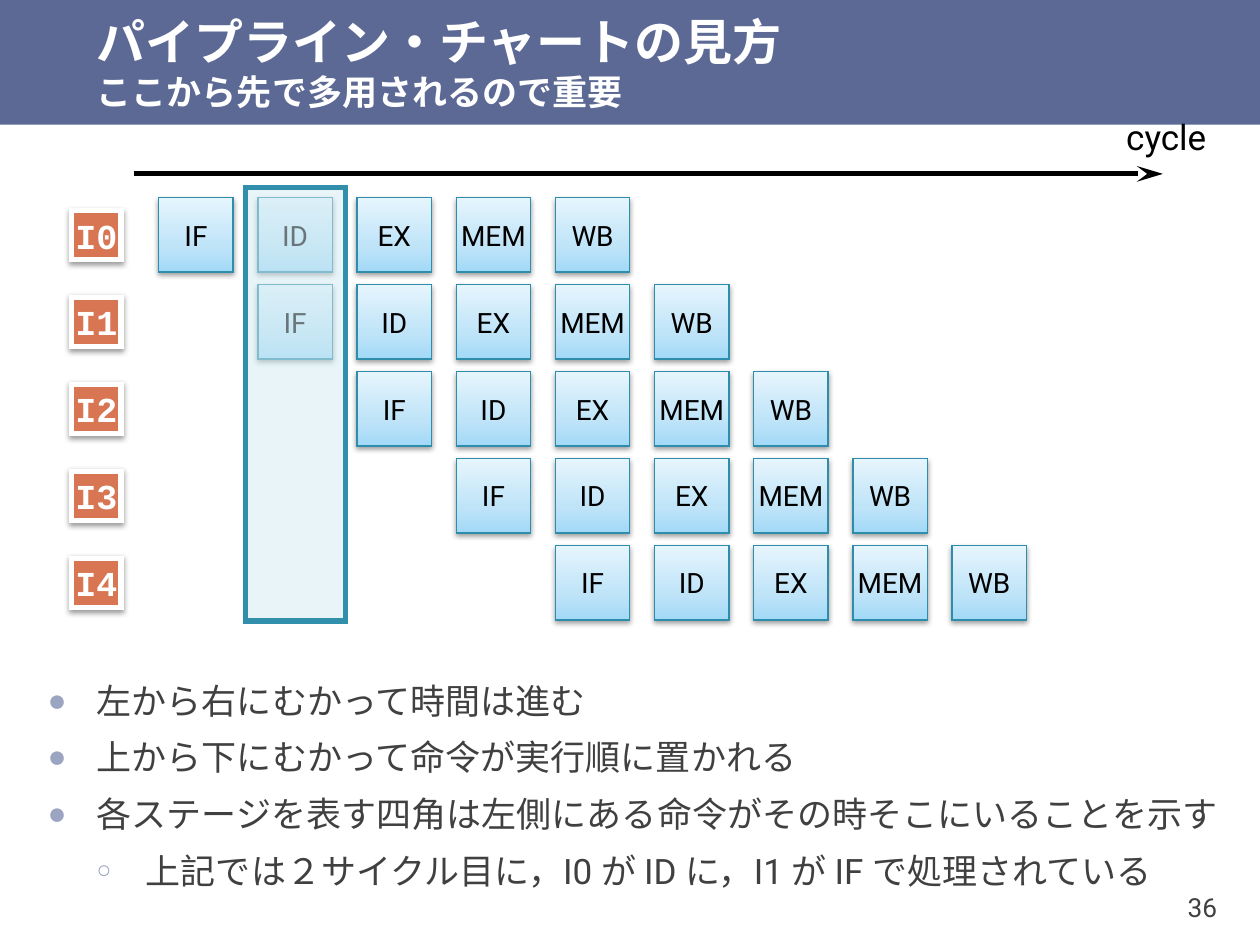
from copy import deepcopy

from lxml import etree
from pptx import Presentation
from pptx.dml.color import RGBColor
from pptx.enum.shapes import MSO_CONNECTOR, MSO_SHAPE
from pptx.enum.text import MSO_ANCHOR, PP_ALIGN
from pptx.oxml.ns import qn
from pptx.util import Inches, Pt

RECT = MSO_SHAPE.RECTANGLE
STRAIGHT = MSO_CONNECTOR.STRAIGHT
MIDDLE = MSO_ANCHOR.MIDDLE
LEFT, CENTER, RIGHT = PP_ALIGN.LEFT, PP_ALIGN.CENTER, PP_ALIGN.RIGHT

COLORS = {
    "band": "5C6994", "white": "FFFFFF", "black": "000000", "body": "404040",
    "bullet": "9BA4C1", "label": "D87552", "stage_line": "2E8DAB",
    "focus": "D2EBF2", "focus_line": "328FAC",
}
STAGE_GRADIENT = [(0, "A2D9F7"), (0.35, "BFE4F8"), (1, "E6F5FD")]
STAGES = ["IF", "ID", "EX", "MEM", "WB"]
INSTRUCTIONS = 5
COL_LEFT, COL_PITCH, STAGE_W = 12.6, 7.87, 5.9
ROW_TOP, ROW_PITCH, STAGE_H = 20.93, 9.2, 7.87
LABEL_LEFT, LABEL_TOP, LABEL_W, LABEL_H = 5.7, 22.27, 3.9, 5.2
BULLETS = [
    (1, "左から右にむかって時間は進む"),
    (1, "上から下にむかって命令が実行順に置かれる"),
    (1, "各ステージを表す四角は左側にある命令がその時そこにいることを示す"),
    (2, "上記では２サイクル目に，I0 が ID に，I1 が IF で処理されている"),
]
BULLET_MARKS = {1: ("●", 90, 0.79), 2: ("○", 70, 1.18)}


def rgb(name):
    return RGBColor.from_string(COLORS[name])


def add(parent, tag, **attrs):
    return etree.SubElement(parent, qn(tag), attrs)


class PipelineSlide:
    font = "Roboto"
    code_font = "Courier New"
    bullet_font = "Arial"

    def __init__(self, prs):
        self.width, self.height = prs.slide_width, prs.slide_height
        self.shapes = prs.slides.add_slide(prs.slide_layouts[6]).shapes

    def place(self, x, y, w, h):
        return [round(share * size / 100) for share, size in
                zip((x, y, w, h), (self.width, self.height) * 2)]

    def style(self, p, size, color, bold=False, font=None, align=LEFT):
        p.alignment = align
        p.font.name = font or self.font
        p.font.size = Pt(size)
        p.font.bold = bold
        p.font.color.rgb = rgb(color)

    def frame(self, sp, margins=(0.1, 0.05), wrap=False):
        tf = sp.text_frame
        tf.word_wrap = wrap
        tf.vertical_anchor = MIDDLE
        tf.margin_left = tf.margin_right = Inches(margins[0])
        tf.margin_top = tf.margin_bottom = Inches(margins[1])
        return tf

    def box(self, area, fill=None, line=None, weight=0, shadow=False):
        sp = self.shapes.add_shape(RECT, *self.place(*area))
        sp.shadow.inherit = False
        if fill:
            sp.fill.solid()
            sp.fill.fore_color.rgb = rgb(fill)
        if line:
            sp.line.color.rgb = rgb(line)
            sp.line.width = Pt(weight)
            add(sp.line._get_or_add_ln(), "a:miter", lim="800000")
        else:
            sp.line.fill.background()
        if shadow:
            effects = sp._element.spPr.find(qn("a:effectLst"))
            shade = add(effects, "a:outerShdw", blurRad="40000", dist="20000",
                        dir="5400000", rotWithShape="0")
            color = add(shade, "a:srgbClr", val=COLORS["black"])
            add(color, "a:alpha", val="38000")
        return sp

    def text(self, area, text, size, color, margins=(0.1, 0.05), align=LEFT):
        sp = self.shapes.add_textbox(*self.place(*area))
        p = self.frame(sp, margins, True).paragraphs[0]
        p.text = text
        self.style(p, size, color, align=align)

    def title(self, area, lines):
        sp = self.shapes.add_textbox(*self.place(*area))
        p = self.frame(sp, (0.1, 0), True).paragraphs[0]
        self.style(p, lines[0][1], "white", bold=True)
        for i, (text, size) in enumerate(lines):
            if i:
                p.add_line_break()
            r = p.add_run()
            r.text = text
            r.font.size = Pt(size)
            add(r._r.get_or_add_rPr(), "a:ea", typeface=self.font)

    def bullets(self, area, items):
        tf = self.frame(self.shapes.add_textbox(*self.place(*area)), wrap=True)
        for i, (level, text) in enumerate(items):
            p = tf.add_paragraph() if i else tf.paragraphs[0]
            p.text = text
            p.level = level
            p.line_spacing = 1.1
            p.space_before = Pt(3 if i else 0)
            p.space_after = Pt(3)
            mark, percent, indent = BULLET_MARKS[level]
            pPr = p._p.get_or_add_pPr()
            pPr.set("marL", str(Inches(indent)))
            pPr.set("indent", str(Inches(-0.39)))
            add(add(pPr, "a:buClr"), "a:srgbClr", val=COLORS["bullet"])
            add(pPr, "a:buSzPct", val=str(percent * 1000))
            add(pPr, "a:buFont", typeface=self.bullet_font)
            add(pPr, "a:buChar", char=mark)
            self.style(p, 20, "body")

    def stage(self, col, row, name):
        area = (COL_LEFT + col * COL_PITCH, ROW_TOP + row * ROW_PITCH,
                STAGE_W, STAGE_H)
        sp = self.box(area, line="stage_line", weight=0.75, shadow=True)
        sp.fill.gradient()
        sp.fill.gradient_angle = 90
        stops = sp._element.spPr.find(".//" + qn("a:gsLst"))
        stops.append(deepcopy(stops[0]))
        for stop, (position, color) in zip(sp.fill.gradient_stops, STAGE_GRADIENT):
            stop.position = position
            stop.color.rgb = RGBColor.from_string(color)
        p = self.frame(sp).paragraphs[0]
        p.text = name
        self.style(p, 16, "black", align=CENTER)

    def label(self, row):
        area = LABEL_LEFT, LABEL_TOP + row * ROW_PITCH, LABEL_W, LABEL_H
        sp = self.box(area, "label", "white", 3, shadow=True)
        p = self.frame(sp).paragraphs[0]
        p.text = f"I{row}"
        self.style(p, 20, "white", True, self.code_font, CENTER)

    def arrow(self, x1, y1, x2, y2):
        cn = self.shapes.add_connector(STRAIGHT, *self.place(x1, y1, x2, y2))
        cn.line.color.rgb = rgb("black")
        cn.line.width = Pt(3)
        add(cn.line._get_or_add_ln(), "a:tailEnd", type="stealth", len="lg")
        add(cn._element.spPr, "a:effectLst")

    def focus(self, area):
        sp = self.box(area, "focus", "focus_line", 3)
        color = sp._element.spPr.find(qn("a:solidFill"))[0]
        add(color, "a:alpha", val="50000")


def main():
    prs = Presentation()
    prs.slide_width, prs.slide_height = Inches(10), Inches(7.5)
    s = PipelineSlide(prs)
    s.box((0, 0, 100, 13.2), "band")
    s.text((89.4, 92, 7.9, 8), "36", 15, "body", (0.07, 0.04), RIGHT)
    s.title((6.7, 0, 93.3, 13.2), [("パイプライン・チャートの見方", 28),
                                   ("ここから先で多用されるので重要", 20)])
    s.bullets((-1.2, 78.93, 100, 7.87), BULLETS)
    s.arrow(10.6, 18.4, 92.3, 18.4)
    for row in range(INSTRUCTIONS):
        s.label(row)
        for i, name in enumerate(STAGES):
            s.stage(row + i, row, name)
    s.focus((19.5, 19.87, 7.9, 45.87))
    s.text((88.4, 11.87, 10, 5.2), "cycle", 20, "black")
    prs.save("out.pptx")


if __name__ == "__main__":
    main()
